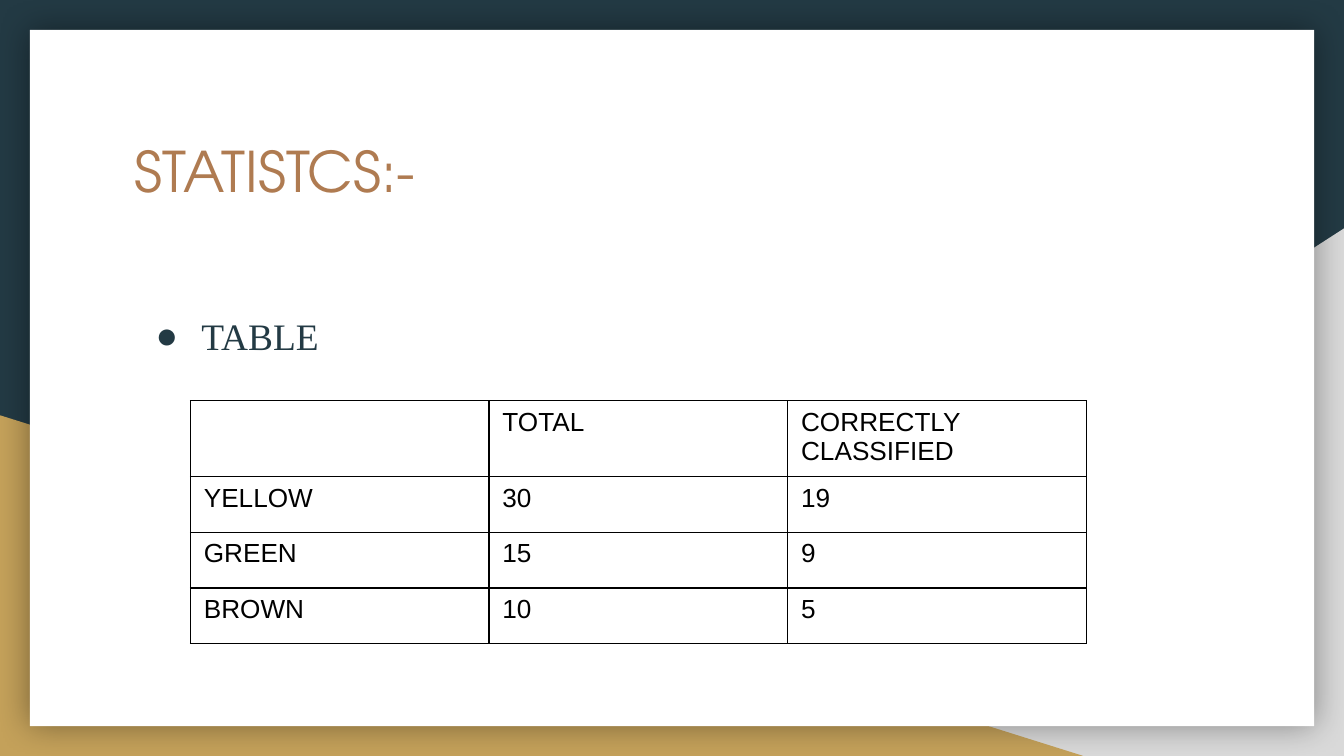
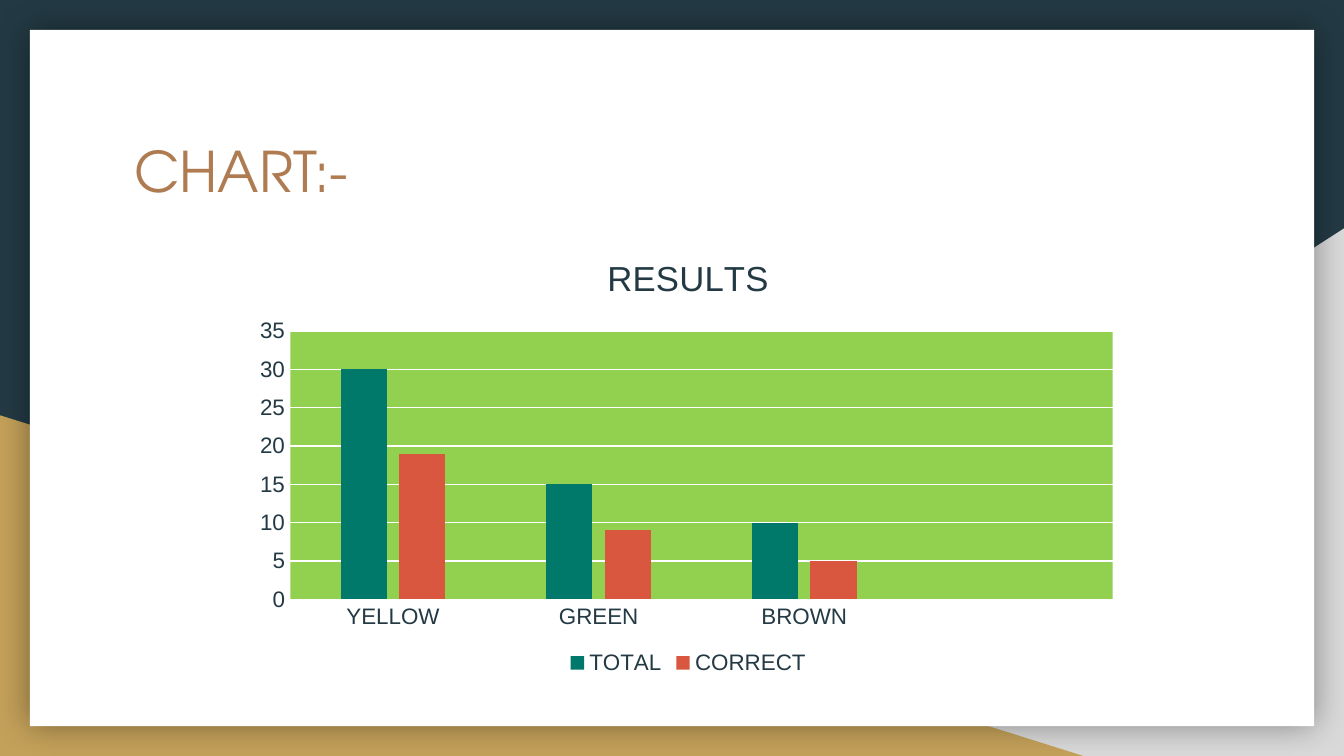
from collections import namedtuple

from pptx import Presentation
from pptx.chart.data import CategoryChartData
from pptx.dml.color import RGBColor
from pptx.enum import chart as chart_enum, shapes, text
from pptx.oxml import parse_xml
from pptx.oxml.ns import nsdecls
from pptx.util import Pt

Box = namedtuple("Box", "left top width height")

COLORS = {
    "navy": "233A44", "grey": "D9D9D9", "gold": "C4A15A", "white": "FFFFFF",
    "bronze": "AF7B51", "black": "000000", "lime": "92D050",
    "teal": "00796B", "coral": "D9563F",
}
FORMATS = {
    "title": {"name": "TeX Gyre Adventor", "size": 30, "color": "bronze"},
    "body": {"name": "Times New Roman", "size": 20, "color": "navy"},
    "cell": {"name": "Arial", "size": 14, "color": "black"},
    "chart": {"name": "Arial", "size": 10, "color": "navy"},
    "chart_title": {"name": "Arial", "size": 18.6, "color": "navy", "bold": False},
    "label": {"name": "Arial", "size": 12, "color": "navy"},
}
PAGE = Box(0, 0, 720, 405)
MARGIN = 16
TITLE = Box(64.8, 66.2, 591, 75)
BODY = Box(64.8, 157, 591, 193)
TABLE = Box(102, 214.6, 480, 128)
CHART = Box(131.8, 124.6, 473.8, 239.8)

TABLE_ROWS = [
    ["", "TOTAL", "CORRECTLY CLASSIFIED"],
    ["YELLOW", "30", "19"],
    ["GREEN", "15", "9"],
    ["BROWN", "10", "5"],
]
CATEGORIES = ["YELLOW", "GREEN", "BROWN", ""]
SERIES = [
    ("TOTAL", [30, 15, 10, None], "teal"),
    ("CORRECT", [19, 9, 5, None], "coral"),
]


def points(values):
    """Turn plain numbers into point lengths."""
    return [Pt(value) for value in values]


def rgb(name):
    """Look up a named colour."""
    return RGBColor.from_string(COLORS[name])


def paint(fill, name):
    """Give a fill one solid colour."""
    fill.solid()
    fill.fore_color.rgb = rgb(name)


def xml(tag, body):
    """Build one drawing or chart element."""
    prefix_end = tag.split()[0]
    return parse_xml(f"<{tag} {nsdecls('a', 'c')}>{body}</{prefix_end}>")


def solid(name):
    """Return the markup of a solid fill."""
    return f'<a:solidFill><a:srgbClr val="{COLORS[name]}"/></a:solidFill>'


def style_font(font, format_name):
    """Apply a named text format to a font."""
    for key, value in FORMATS[format_name].items():
        if key == "color":
            font.color.rgb = rgb(value)
        else:
            setattr(font, key, Pt(value) if key == "size" else value)


def add_panel(slide, kind, box, color, flipped=False):
    """Add a plain filled shape without outline."""
    shape = slide.shapes.add_shape(kind, *points(box))
    shape.shadow.inherit = False
    paint(shape.fill, color)
    shape.line.fill.background()
    if flipped:
        shape.element.spPr.xfrm.set("flipH", "1")
    return shape


def add_backdrop(slide, box):
    """Draw the navy page, two corner triangles and the shadowed card."""
    paint(slide.background.fill, "navy")
    triangle = shapes.MSO_SHAPE.RIGHT_TRIANGLE
    for left, top, width, color, flipped in (
        (282.2, 122.4, 437.8, "grey", True),
        (0, 222.5, 580.3, "gold", False),
    ):
        part = Box(box.left + left, box.top + top, width, box.height - top)
        add_panel(slide, triangle, part, color, flipped)
    inner = Box(box.left + MARGIN, box.top + MARGIN,
                box.width - 2 * MARGIN, box.height - 2 * MARGIN)
    card = add_panel(slide, shapes.MSO_SHAPE.RECTANGLE, inner, "white")
    card.element.spPr.find(".//{*}effectLst").append(xml(
        f'a:outerShdw blurRad="{Pt(18)}" dist="0" dir="0" algn="ctr" rotWithShape="0"',
        f'<a:srgbClr val="{COLORS["black"]}"><a:alpha val="40000"/></a:srgbClr>'))


def add_text(slide, box, content, format_name):
    """Add a one-paragraph text box and return its paragraph."""
    frame = slide.shapes.add_textbox(*points(box)).text_frame
    settings = {"word_wrap": True, "vertical_anchor": text.MSO_ANCHOR.TOP}
    for side in ("left", "right", "top", "bottom"):
        settings[f"margin_{side}"] = Pt(7.2)
    for key, value in settings.items():
        setattr(frame, key, value)
    paragraph = frame.paragraphs[0]
    run = paragraph.add_run()
    run.text = content
    style_font(run.font, format_name)
    return paragraph


def add_bullet(slide, box, content):
    """Add a bulleted body line."""
    paragraph = add_text(slide, box, content, "body")
    paragraph.line_spacing = 1.15
    properties = paragraph.runs[0].font and paragraph._p.get_or_add_pPr()
    properties.set("marL", str(Pt(36)))
    properties.set("indent", str(Pt(-24.5)))
    properties.append(xml("a:buClr", f'<a:srgbClr val="{COLORS["navy"]}"/>'))
    properties.append(xml('a:buFont typeface="Times New Roman"', ""))
    properties.append(xml('a:buChar char="●"', ""))


def add_results_table(slide, box, rows):
    """Add the ruled table, with a taller first row."""
    frame = slide.shapes.add_table(len(rows), len(rows[0]), *points(box))
    table = frame.table
    table.first_row = table.horz_banding = False
    for column in table.columns:
        column.width = Pt(box.width / len(rows[0]))
    head_height = 38.6
    for index, row in enumerate(table.rows):
        rest = (box.height - head_height) / (len(rows) - 1)
        row.height = Pt(rest if index else head_height)
        for cell, content in zip(row.cells, rows[index]):
            cell.text = content
            paragraph = cell.text_frame.paragraphs[0]
            style_font(paragraph.font, "cell")
            for run in paragraph.runs:
                style_font(run.font, "cell")
            properties = cell._tc.get_or_add_tcPr()
            for side in "LRTB":
                properties.append(xml(f'a:ln{side} w="{Pt(0.75)}"', solid("black")))
            cell.fill.background()


def style_axes(chart):
    """Format both axes and the gridlines."""
    for axis in (chart.category_axis, chart.value_axis):
        axis.major_tick_mark = axis.minor_tick_mark = chart_enum.XL_TICK_MARK.NONE
        style_font(axis.tick_labels.font, "label")
    values = chart.value_axis
    for key, value in {"minimum_scale": 0, "maximum_scale": 35,
                       "major_unit": 5, "has_major_gridlines": True}.items():
        setattr(values, key, value)
    values.format.line.fill.background()
    for line in (chart.category_axis.format.line, values.major_gridlines.format.line):
        line.width = Pt(0.75)
        line.color.rgb = rgb("white")


def style_plot_area(chart):
    """Place the plot area and fill it."""
    area = chart.element.find(".//{*}plotArea")
    for layout in area.findall("{*}layout"):
        area.remove(layout)
    parts = '<c:layoutTarget val="inner"/>'
    parts += "".join(f'<c:{key}Mode val="edge"/>' for key in "xy")
    for key, value in {"x": 0.05, "y": 0.22, "w": 0.93, "h": 0.6}.items():
        parts += f'<c:{key} val="{value}"/>'
    area.insert(0, xml("c:layout", f"<c:manualLayout>{parts}</c:manualLayout>"))
    area.append(xml("c:spPr", solid("lime")))


def add_results_chart(slide, box):
    """Add the clustered column chart."""
    data = CategoryChartData()
    data.categories = CATEGORIES
    for name, values, _ in SERIES:
        data.add_series(name, values)
    chart = slide.shapes.add_chart(
        chart_enum.XL_CHART_TYPE.COLUMN_CLUSTERED, *points(box), data).chart
    style_font(chart.font, "chart")
    chart.has_title = True
    heading = chart.chart_title.text_frame
    heading.text = "RESULTS"
    style_font(heading.paragraphs[0].runs[0].font, "chart_title")
    chart.has_legend = True
    chart.legend.position = chart_enum.XL_LEGEND_POSITION.BOTTOM
    chart.legend.include_in_layout = False
    style_font(chart.legend.font, "label")
    plot = chart.plots[0]
    for key, value in {"gap_width": 219, "overlap": -27,
                       "vary_by_categories": False}.items():
        setattr(plot, key, value)
    for series, (_, _, color) in zip(plot.series, SERIES):
        paint(series.format.fill, color)
    style_axes(chart)
    style_plot_area(chart)


def add_slide(presentation, title):
    """Add a blank slide with the shared backdrop and title."""
    slide = presentation.slides.add_slide(presentation.slide_layouts[6])
    add_backdrop(slide, PAGE)
    add_text(slide, TITLE, title, "title")
    return slide


def build():
    """Build and save the presentation."""
    presentation = Presentation()
    presentation.slide_width, presentation.slide_height = points(PAGE[2:])
    statistics = add_slide(presentation, "STATISTCS:-")
    add_bullet(statistics, BODY, "TABLE")
    add_results_table(statistics, TABLE, TABLE_ROWS)
    add_results_chart(add_slide(presentation, "CHART:-"), CHART)
    presentation.save("out.pptx")


build()
